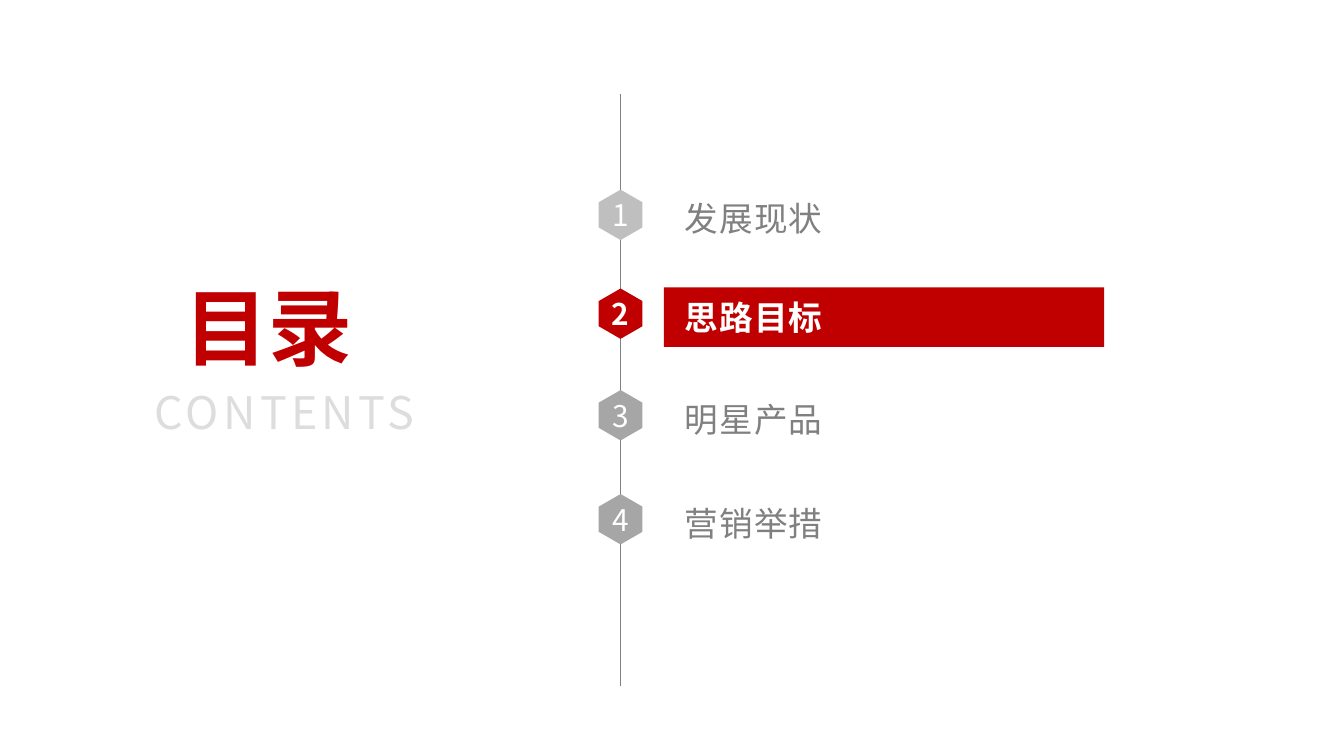
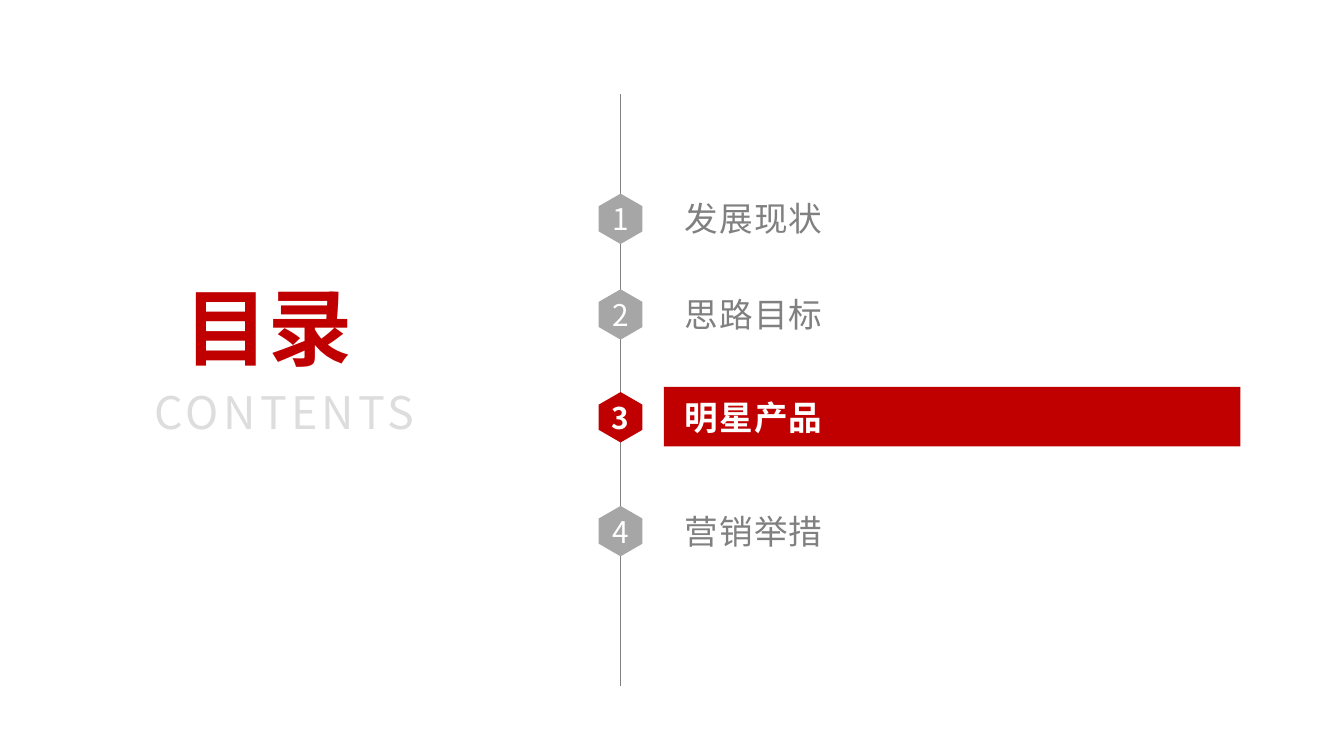
from pptx import Presentation
from pptx.dml.color import RGBColor
from pptx.enum.shapes import MSO_CONNECTOR, MSO_SHAPE
from pptx.enum.text import MSO_ANCHOR, PP_ALIGN
from pptx.oxml.ns import qn
from pptx.util import Cm, Pt
from lxml import etree

COLORS = {"red": "C00000", "white": "FFFFFF", "text": "808080",
          "badge": "A6A6A6", "light": "BFBFBF", "faint": "DDDDDD"}
FONT = "Noto Sans CJK SC"
SECTIONS = ["发展现状", "思路目标", "明星产品", "营销举措"]
ROW_LEFT, ROW_HEIGHT = 16.73, 1.5
BADGE_LEFT, BADGE_WIDTH, BADGE_HEIGHT = 15.09, 1.1, 1.27
SHORT, MEDIUM, LONG = 11.1, 13.44, 14.53

# Each agenda: active section, drop of the badges below the row tops,
# and (row top, row width, badge colour) for every section, in cm.
AGENDAS = [
    (1, 0.03, [(4.75, LONG, "light"), (7.24, SHORT, "red"),
               (9.8, MEDIUM, "badge"), (12.42, SHORT, "badge")]),
    (2, 0.13, [(4.75, SHORT, "badge"), (7.16, MEDIUM, "badge"),
               (9.75, LONG, "red"), (12.62, SHORT, "badge")]),
]


class Deck:
    def __init__(self):
        self.prs = Presentation()
        self.prs.slide_width, self.prs.slide_height = Cm(33.87), Cm(19.05)
        self.s = None

    def new_slide(self):
        self.s = self.prs.slides.add_slide(self.prs.slide_layouts[5])

    def set_text(self, sp, text, size, color, bold=False, align=PP_ALIGN.LEFT,
                 spacing=0, left_inset=0.25, wrap=True):
        tf = sp.text_frame
        frame = {"word_wrap": wrap, "vertical_anchor": MSO_ANCHOR.MIDDLE,
                 "margin_left": Cm(left_inset), "margin_right": Cm(0.25),
                 "margin_top": Cm(0.13), "margin_bottom": Cm(0.13)}
        for name, value in frame.items():
            setattr(tf, name, value)
        p = tf.paragraphs[0]
        p.alignment = align
        r = p.add_run()
        r.text = text
        for name, value in {"name": FONT, "size": Pt(size), "bold": bold}.items():
            setattr(r.font, name, value)
        r.font.color.rgb = RGBColor.from_string(COLORS[color])
        rPr = r._r.get_or_add_rPr()
        etree.SubElement(rPr, qn("a:ea")).set("typeface", FONT)
        if spacing:
            rPr.set("spc", str(spacing * 100))

    def fill(self, sp, color):
        sp.shadow.inherit = False
        sp.fill.solid()
        sp.fill.fore_color.rgb = RGBColor.from_string(COLORS[color])
        sp.line.fill.background()

    def title(self, text):
        sp = self.s.shapes.title
        place = {"left": 4.32, "top": 7.11, "width": 4.9, "height": 2.18}
        for name, value in place.items():
            setattr(sp, name, Cm(value))
        self.set_text(sp, text, 60, "red", bold=True, align=PP_ALIGN.CENTER, wrap=False)

    def subtitle(self, text):
        sp = self.s.shapes.add_textbox(Cm(3.42), Cm(9.46), Cm(7.5), Cm(1.8))
        self.set_text(sp, text, 32, "faint", align=PP_ALIGN.CENTER, spacing=3)

    def timeline(self):
        line = self.s.shapes.add_connector(
            MSO_CONNECTOR.STRAIGHT, Cm(15.63), Cm(2.37), Cm(15.63), Cm(17.29))
        line.line.width = Pt(0.5)
        line.line.color.rgb = RGBColor.from_string(COLORS["text"])
        etree.SubElement(line._element.spPr, qn("a:effectLst"))

    def row(self, text, top, width, active):
        box = Cm(ROW_LEFT), Cm(top), Cm(width), Cm(ROW_HEIGHT)
        if active:
            sp = self.s.shapes.add_shape(MSO_SHAPE.RECTANGLE, *box)
            self.fill(sp, "red")
        else:
            sp = self.s.shapes.add_textbox(*box)
        self.set_text(sp, text, 24, "white" if active else "text", bold=active,
                      spacing=1, left_inset=0.51)

    def badge(self, number, top, color, active):
        """Draw a numbered hexagon standing on its point."""
        corners = [(0.5, 0), (1, 0.25), (1, 0.75), (0.5, 1), (0, 0.75), (0, 0.25)]
        points = [(Cm(BADGE_LEFT + x * BADGE_WIDTH), Cm(top + y * BADGE_HEIGHT))
                  for x, y in corners]
        outline = self.s.shapes.build_freeform(*points[0])
        outline.add_line_segments(points[1:], close=True)
        sp = outline.convert_to_shape()
        self.fill(sp, color)
        self.set_text(sp, str(number), 21.3, "white", bold=active, align=PP_ALIGN.CENTER)


def main():
    deck = Deck()
    for current, drop, rows in AGENDAS:
        deck.new_slide()
        deck.title("目录")
        deck.subtitle("CONTENTS")
        deck.timeline()
        for i, (text, (top, width, color)) in enumerate(zip(SECTIONS, rows)):
            deck.row(text, top, width, i == current)
            deck.badge(i + 1, top + drop, color, i == current)
    deck.prs.save("out.pptx")


if __name__ == "__main__":
    main()
